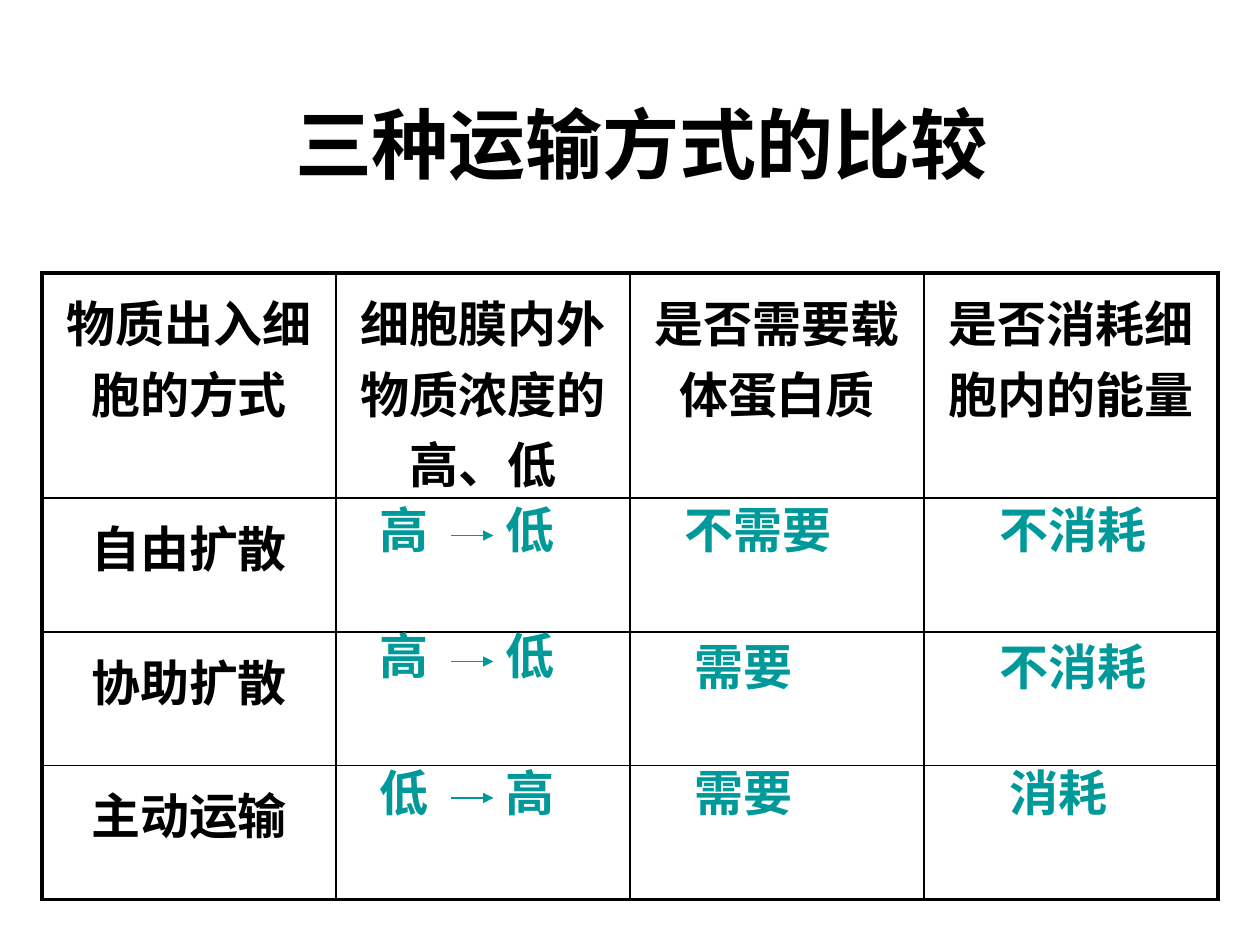
from lxml.etree import SubElement
from pptx import Presentation
from pptx.dml.color import RGBColor
from pptx.enum.shapes import MSO_CONNECTOR as Connector
from pptx.enum.text import MSO_ANCHOR as Anchor, MSO_AUTO_SIZE as AutoSize, PP_ALIGN as Align
from pptx.oxml.ns import qn
from pptx.util import Inches, Pt

BLACK = RGBColor(0x00, 0x00, 0x00)
TEAL = RGBColor(0x00, 0x99, 0x99)
WHITE = RGBColor(0xFF, 0xFF, 0xFF)

TITLE = "三种运输方式的比较"
HEADERS = ["物质出入细胞的方式", "细胞膜内外物质浓度的高、低", "是否需要载体蛋白质", "是否消耗细胞内的能量"]
METHODS = ["自由扩散", "协助扩散", "主动运输"]

# Gradient text, its row, and the row of its arrow
GRADIENTS = [("高　\t低", 47, 51), ("高　\t低", 59, 63), ("低　\t高", 72, 76)]
# Answer text, column, row and width
ANSWERS = [
    ("不需要", 64, 47, 19), ("需要", 65, 60, 19), ("需要", 65, 72, 19),
    ("不消耗", 94, 47, 17), ("不消耗", 94, 60, 17), ("消耗", 95, 72, 14),
]


def grid(*units):
    """Lengths on a grid of 120 columns by 90 rows, twelve to the inch."""
    return [Inches(unit / 12) for unit in units]


class ComparisonPage:
    heading_font, answer_font = "Arial", "Times New Roman"
    title_size, body_size = Pt(44), Pt(28)
    thin, thick = Pt(1), Pt(2.25)
    box_height = 6.9

    def __init__(self, deck):
        self.page = deck.slides.add_slide(deck.slide_layouts[5])
        self.page.background.fill.solid()
        self.page.background.fill.fore_color.rgb = WHITE

    def style(self, frame, font, size, color, align):
        for para in frame.paragraphs:
            para.alignment = align
            for span in para.runs:
                span.font.name, span.font.size, span.font.bold = font, size, True
                span.font.color.rgb = color

    def title(self, text, *place):
        box = self.page.shapes.title
        box.left, box.top, box.width, box.height = grid(*place)
        frame = box.text_frame
        frame.text = text
        frame.vertical_anchor = Anchor.MIDDLE
        self.style(frame, self.heading_font, self.title_size, BLACK, Align.CENTER)

    def border(self, cell, side, width):
        line = SubElement(cell._tc.get_or_add_tcPr(), qn(f"a:ln{side}"), w=str(width))
        fill = SubElement(line, qn("a:solidFill"))
        SubElement(fill, qn("a:srgbClr"), val=str(BLACK))

    def table(self, rows, left, top, column_width, row_height):
        row_count, column_count = len(rows), len(rows[0])
        place = grid(left, top, column_width * column_count, row_height * row_count)
        table = self.page.shapes.add_table(row_count, column_count, *place).table
        table.first_row = table.horz_banding = False
        for r, row in enumerate(rows):
            for c, text in enumerate(row):
                cell = table.cell(r, c)
                outer = {"L": c == 0, "R": c == column_count - 1,
                         "T": r == 0, "B": r == row_count - 1}
                for side, is_outer in outer.items():
                    self.border(cell, side, self.thick if is_outer else self.thin)
                cell.fill.background()
                cell.margin_top, cell.margin_bottom = Inches(0.1), 0
                if text:
                    cell.text_frame.text = text
                    self.style(cell.text_frame, self.heading_font, self.body_size,
                               BLACK, Align.CENTER)

    def answer(self, text, left, top, width, shapes=None):
        shapes = shapes or self.page.shapes
        box = shapes.add_textbox(*grid(left, top, width, self.box_height))
        frame = box.text_frame
        frame.word_wrap = True
        frame.auto_size = AutoSize.SHAPE_TO_FIT_TEXT
        frame.text = text
        self.style(frame, self.answer_font, self.body_size, TEAL, Align.LEFT)

    def arrow(self, start, end, row, shapes):
        arrow = shapes.add_connector(Connector.STRAIGHT, *grid(start, row, end, row))
        arrow.line.color.rgb = TEAL
        arrow.line.width = self.thin
        properties = arrow._element.spPr
        SubElement(properties.find(qn("a:ln")), qn("a:tailEnd"), type="triangle")
        SubElement(properties, qn("a:effectLst"))

    def gradient(self, text, top, arrow_row):
        group = self.page.shapes.add_group_shape()
        self.answer(text, 35, top, 20, group.shapes)
        self.arrow(43, 47, arrow_row, group.shapes)


def main():
    deck = Presentation()
    deck.slide_width, deck.slide_height = grid(120, 90)
    page = ComparisonPage(deck)

    # Title and comparison table
    page.title(TITLE, 10, 4, 102.25, 19.2)
    blanks = [""] * (len(HEADERS) - 1)
    page.table([HEADERS] + [[method] + blanks for method in METHODS], 4, 26, 28, 12.75)

    # Answers laid over the table
    for gradient in GRADIENTS:
        page.gradient(*gradient)
    for answer in ANSWERS:
        page.answer(*answer)

    deck.save("out.pptx")


if __name__ == "__main__":
    main()
